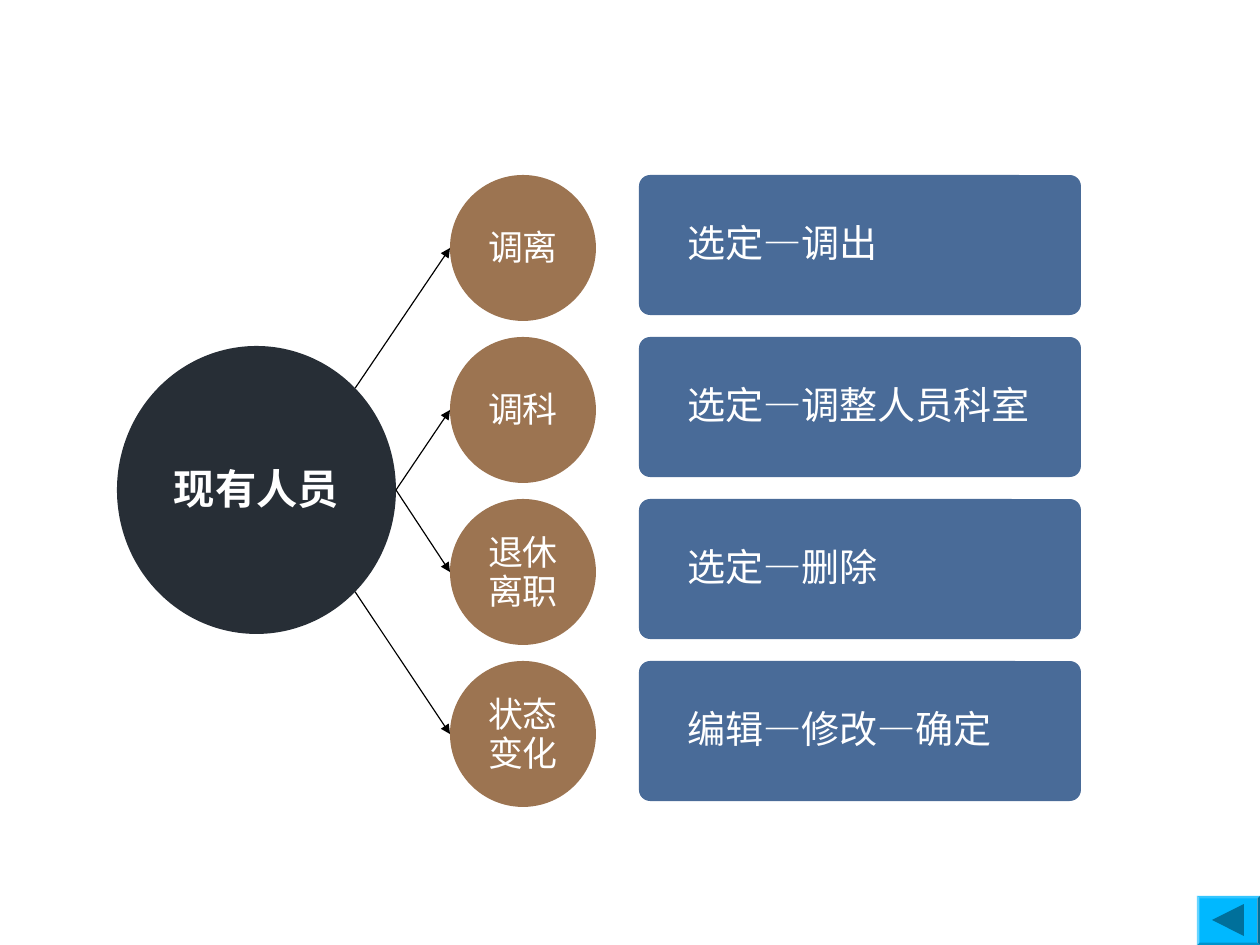
from math import cos, pi, sin

from lxml.etree import SubElement
from pptx import Presentation
from pptx.dml.color import RGBColor
from pptx.enum.shapes import MSO_CONNECTOR, MSO_SHAPE
from pptx.enum.text import MSO_ANCHOR, PP_ALIGN
from pptx.oxml.ns import qn
from pptx.util import Pt

PX = 8000  # EMU; the slide is 1260 by 945 px

NAVY = RGBColor(0x27, 0x2E, 0x36)
BROWN = RGBColor(0x9C, 0x74, 0x51)
BLUE = RGBColor(0x49, 0x6B, 0x98)
CYAN = RGBColor(0x00, 0xB8, 0xFF)
TEAL = RGBColor(0x00, 0x70, 0x9B)
WHITE = RGBColor(0xFF, 0xFF, 0xFF)
BLACK = RGBColor(0x00, 0x00, 0x00)

CIRCLE_INSETS = (11, 8, 11, 6)
CARD_INSETS = (45, -2, 11, -2)

CHANGES = [
    ("调离", "选定—调出"),
    ("调科", "选定—调整人员科室"),
    ("退休离职", "选定—删除"),
    ("状态变化", "编辑—修改—确定"),
]
ROW_PITCH = 162
# Angle on the staff circle where the arrow to each change starts
ARROW_ANGLES = [-pi / 4, 0, 0, pi / 4]


def paint(shape, color):
    shape.shadow.inherit = False
    shape.fill.solid()
    shape.fill.fore_color.rgb = color
    shape.line.fill.background()


def add_block(slide, kind, box, color):
    block = slide.shapes.add_shape(kind, *(n * PX for n in box))
    paint(block, color)
    return block


def write(block, words, size, insets, align, bold=False):
    frame = block.text_frame
    frame.word_wrap = True
    frame.vertical_anchor = MSO_ANCHOR.MIDDLE
    (frame.margin_left, frame.margin_top,
     frame.margin_right, frame.margin_bottom) = (n * PX for n in insets)
    frame.text = words
    line = frame.paragraphs[0]
    line.alignment = align
    line.line_spacing = 0.93
    font = line.runs[0].font
    font.name = "Arial"
    font.size = Pt(size)
    font.bold = bold
    font.color.rgb = WHITE


def add_circle(slide, box, words, color, size, bold=False):
    circle = add_block(slide, MSO_SHAPE.OVAL, box, color)
    write(circle, words, size, CIRCLE_INSETS, PP_ALIGN.CENTER, bold)


def add_arrow(slide, start, end):
    ends = (round(n * PX) for n in (*start, *end))
    arrow = slide.shapes.add_connector(MSO_CONNECTOR.STRAIGHT, *ends)
    arrow.line.color.rgb = BLACK
    arrow.line.width = Pt(0.75)
    outline = arrow._element.spPr.find(qn("a:ln"))
    SubElement(outline, qn("a:tailEnd"), type="triangle")
    SubElement(arrow._element.spPr, qn("a:effectLst"))


def add_change_row(slide, box, change, steps):
    """Circle naming the change, then the card with its steps."""
    left, top, width, height = box
    add_circle(slide, (left, top, height, height), change, BROWN, 22)
    card_left = left + 189
    card = add_block(slide, MSO_SHAPE.ROUNDED_RECTANGLE,
                     (card_left, top, left + width - card_left, height - 6), BLUE)
    card.adjustments[0] = 0.08
    write(card, steps, 24, CARD_INSETS, PP_ALIGN.LEFT)


def add_staff_diagram(slide, box):
    left, top, width, height = box
    circle_top, circle_width, circle_height = top + 171, 279, 288
    add_circle(slide, (left, circle_top, circle_width, circle_height),
               "现有人员", NAVY, 26, bold=True)
    rx, ry = circle_width / 2, circle_height / 2
    row_left, row_height = left + 333, height - 3 * ROW_PITCH
    row_width = left + width - row_left
    for row, ((change, steps), angle) in enumerate(zip(CHANGES, ARROW_ANGLES)):
        row_top = top + row * ROW_PITCH
        add_change_row(slide, (row_left, row_top, row_width, row_height),
                       change, steps)
        start = (left + rx + rx * cos(angle), circle_top + ry + ry * sin(angle))
        add_arrow(slide, start, (row_left, row_top + row_height / 2))


def add_back_button(slide, box):
    left, top, width, height = box
    button = add_block(slide, MSO_SHAPE.BEVEL, box, CYAN)
    button.adjustments[0] = 0.05
    middle_x, middle_y, reach = left + width // 2, top + height // 2, 16
    arrowhead = slide.shapes.build_freeform(middle_x - reach, middle_y, scale=PX)
    arrowhead.add_line_segments([(middle_x + reach, middle_y - reach),
                                 (middle_x + reach, middle_y + reach)])
    paint(arrowhead.convert_to_shape(), TEAL)


def main():
    deck = Presentation()
    deck.slide_width, deck.slide_height = 1260 * PX, 945 * PX
    slide = deck.slides.add_slide(deck.slide_layouts[6])
    add_staff_diagram(slide, (117, 175, 964, 632))
    add_back_button(slide, (1197, 896, 63, 49))
    deck.save("out.pptx")


if __name__ == "__main__":
    main()
